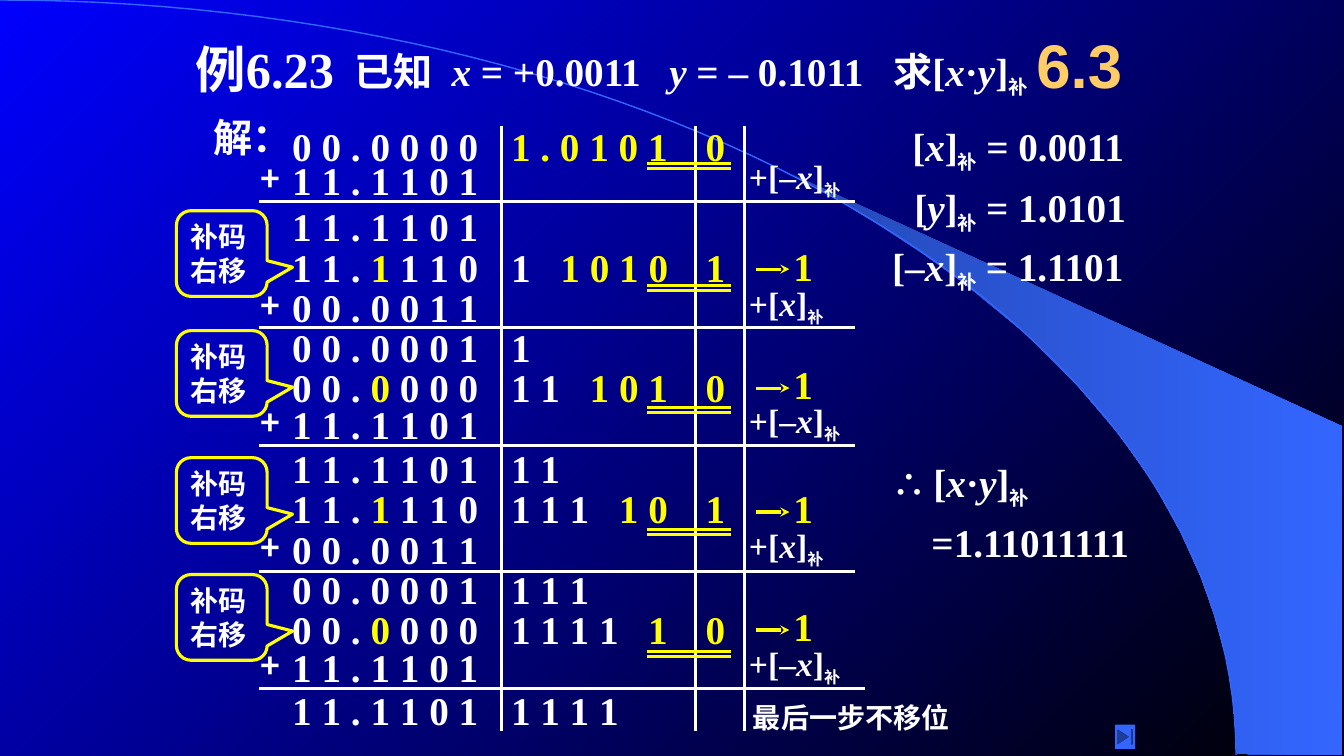
from dataclasses import dataclass
from math import cos, pi, sin

from lxml.etree import SubElement
from pptx import Presentation
from pptx.dml.color import RGBColor
from pptx.enum.shapes import MSO_CONNECTOR, MSO_SHAPE
from pptx.enum.text import MSO_ANCHOR, PP_ALIGN
from pptx.oxml.ns import qn
from pptx.util import Inches, Pt


@dataclass(frozen=True)
class Theme:
    white: RGBColor = RGBColor(255, 255, 255)
    yellow: RGBColor = RGBColor(255, 255, 0)
    gold: RGBColor = RGBColor(255, 204, 102)
    blue: RGBColor = RGBColor(0x33, 0x66, 0xFF)
    dark_blue: RGBColor = RGBColor(0x24, 0x49, 0xB6)
    background_start: RGBColor = RGBColor(0, 0, 255)
    background_end: RGBColor = RGBColor(0, 0, 0)
    serif: str = "Times New Roman"
    sans: str = "Arial"
    chinese: str = "Noto Sans CJK SC"
    section: int = 44
    heading: int = 36
    body: int = 28
    label: int = 24
    note: int = 20
    stroke: float = 2.25


theme = Theme()


def write(paragraph, runs, size=theme.body, color=theme.white, font=theme.serif, tabs=(), indent=0):
    properties = paragraph._p.get_or_add_pPr()
    if indent:
        properties.set("marL", str(Inches(indent)))
    if tabs:
        tab_list = SubElement(properties, qn("a:tabLst"))
        for position in tabs:
            SubElement(tab_list, qn("a:tab"), pos=str(Inches(position)), algn="l")
    paragraph.font.size = Pt(size)
    paragraph.font.bold = True
    paragraph.font.name = font
    paragraph.font.color.rgb = color
    SubElement(properties.find(qn("a:defRPr")), qn("a:ea"), typeface=theme.chinese)
    for text, style in runs:
        run = paragraph.add_run()
        run.text = text
        if style == "italic":
            run.font.italic = True
        elif style == "yellow":
            run.font.color.rgb = theme.yellow
        elif style == "symbol":
            run.font.size = Pt(theme.label)
            run.font.name = theme.chinese
        elif style == "subscript":
            run.font.size = Pt(size - 4)
            run._r.get_or_add_rPr().set("baseline", "-25000")


def add_line(x1, y1, x2, y2, color, arrow=False):
    line = slide.shapes.add_connector(
        MSO_CONNECTOR.STRAIGHT, Inches(x1), Inches(y1), Inches(x2), Inches(y2))
    line.line.color.rgb = color
    line.line.width = Pt(theme.stroke)
    properties = line._element.spPr
    if arrow:
        SubElement(properties.find(qn("a:ln")), qn("a:tailEnd"), type="stealth")
    SubElement(properties, qn("a:effectLst"))


presentation = Presentation()
presentation.slide_width = Inches(13.33)
presentation.slide_height = Inches(7.5)
slide = presentation.slides.add_slide(presentation.slide_layouts[5])

background = slide.background.fill
background.gradient()
background.gradient_angle = 315
background.gradient_stops[0].color.rgb = theme.background_start
background.gradient_stops[1].color.rgb = theme.background_end

beam_points = [
    (12.27, 7.48), (13.31, 7.49), (13.31, 4.23), (7.86, 1.73), (8.32, 1.99), (8.7, 2.22),
    (9.13, 2.5), (9.55, 2.8), (10.16, 3.3), (10.7, 3.84), (11.1, 4.31), (11.44, 4.79),
    (11.71, 5.28), (11.91, 5.72), (12.04, 6.09), (12.17, 6.56), (12.23, 6.96),
]
arc_angles = [pi / 2 * step / 60 for step in range(61)]
arc_points = [(12.26 * sin(angle), 7.49 * (1 - cos(angle))) for angle in arc_angles]
outlines = []
for points, closed in ((beam_points, True), (arc_points, False)):
    corners = [(Inches(x), Inches(y)) for x, y in points]
    builder = slide.shapes.build_freeform(*corners[0])
    builder.add_line_segments(corners[1:], close=closed)
    outline = builder.convert_to_shape()
    outline.shadow.inherit = False
    outlines.append(outline)
beam, arc = outlines
beam.line.fill.background()
beam.fill.gradient()
beam.fill.gradient_angle = 0
beam.fill.gradient_stops[0].color.rgb = theme.dark_blue
beam.fill.gradient_stops[1].color.rgb = theme.blue
arc.fill.background()
arc.line.color.rgb = theme.blue
arc.line.width = Pt(1)

title = slide.shapes.title
title.left, title.top, title.width, title.height = map(Inches, (10.08, 0.17, 1.25, 0.92))
title.text_frame.vertical_anchor = MSO_ANCHOR.MIDDLE
title.text_frame.paragraphs[0].alignment = PP_ALIGN.CENTER
write(title.text_frame.paragraphs[0], [("6.3", "")], theme.section, theme.gold, theme.sans)

x, y, complement = ("x", "italic"), ("y", "italic"), ("补", "subscript")
product = [("[", ""), x, ("·", ""), y, ("]", ""), complement]
negative_x = [("[–", ""), x, ("]", ""), complement]
plain_x = [("[", ""), x, ("]", ""), complement]
plain_y = [("[", ""), y, ("]", ""), complement]

texts = [
    (1.84, 0.33, 1.8, 0.7, [("例6.23", "")], {"size": theme.heading}),
    (3.42, 0.42, 7.92, 0.57,
     [("已知\t", ""), x, (" = +0.0011\t", ""), y, (" = – 0.1011\t求", "")] + product,
     {"tabs": (0.96, 3.12, 5.34)}),
    (2.02, 1.08, 1.1, 0.57, [("解：", "")], {}),
    (2.8, 1.16, 2.15, 0.57, [("0 0 . 0 0 0 0", "")], {}),
    (4.97, 1.16, 2.08, 0.57, [("1 . 0 1 0 1", "")], {"color": theme.yellow}),
    (6.9, 1.16, 0.4, 0.57, [("0", "")], {"color": theme.yellow}),
    (8.95, 1.16, 2.71, 0.57, plain_x + [(" = 0.0011", "")], {}),
    (8.97, 1.77, 2.7, 0.57, plain_y + [(" = 1.0101", "")], {}),
    (8.75, 2.35, 2.92, 0.57, negative_x + [(" = 1.1101", "")], {}),
    (7.33, 6.9, 2.4, 0.43, [("最后一步不移位", "")], {"size": theme.note, "indent": 0.04}),
]

additions = [
    (1.5, 2, "1 1 . 1 1 0 1", negative_x, ""),
    (2.76, 3.25, "0 0 . 0 0 1 1", plain_x, "1"),
    (3.92, 4.42, "1 1 . 1 1 0 1", negative_x, "1 1"),
    (5.16, 5.67, "0 0 . 0 0 1 1", plain_x, "1 1 1"),
    (6.33, 6.83, "1 1 . 1 1 0 1", negative_x, "1 1 1 1"),
]
for index, (top, rule, addend, operand, settled) in enumerate(additions):
    total = "0 0 . 0 0 0 1" if index % 2 else "1 1 . 1 1 0 1"
    sum_top = 1.96 + 1.2 * index
    texts += [
        (2.8, top, 2.15, 0.57, [(addend, "")], {}),
        (2.49, top + 0.02, 0.59, 0.5, [("+", "")], {"size": theme.label, "font": theme.chinese}),
        (7.33, top, 1.42, 0.5, [("+", "")] + operand, {"size": theme.label}),
        (2.8, sum_top, 2.15, 0.57, [(total, "")], {}),
    ]
    if settled:
        texts.append((4.97, sum_top, 2.08, 0.57, [(settled, "")], {}))
    add_line(2.57, rule, 8.58 if index == 4 else 8.48, rule, theme.white)

for column in (4.97, 6.9, 7.38):
    add_line(column, 1.25, column, 7.25, theme.white)

shifts = [
    (2.67, 2.09, "1", "1 0 1 0"),
    (3.85, 3.28, "1 1", "1 0 1"),
    (5.08, 4.54, "1 1 1", "1 0"),
    (6.25, 5.7, "1 1 1 1", "1"),
]
for index, (arrow_y, callout_top, settled, remaining) in enumerate(shifts):
    head, lead, tail, bit = ("0 0 . ", "0", " 0 0 0", "0") if index % 2 else ("1 1 . ", "1", " 1 1 0", "1")
    top = 2.36 + 1.2 * index
    texts += [
        (2.8, top, 2.15, 0.57, [(head, ""), (lead, "yellow"), (tail, "")], {}),
        (4.97, top, 2.08, 0.57, [(settled + "\t", ""), (remaining, "yellow")],
         {"tabs": (0.29 * (index + 1) + 0.2,)}),
        (6.9, top, 0.4, 0.57, [(bit, "")], {"color": theme.yellow}),
        (7.77, arrow_y - 0.32, 0.4, 0.57, [("1", "")], {"color": theme.yellow}),
    ]
    add_line(7.5, arrow_y, 7.83, arrow_y, theme.yellow, arrow=True)
    callout = slide.shapes.add_shape(
        MSO_SHAPE.ROUNDED_RECTANGULAR_CALLOUT,
        Inches(1.75), Inches(callout_top), Inches(0.9), Inches(0.85))
    for position, value in enumerate((0.78, 0.16, 0.17)):
        callout.adjustments[position] = value
    callout.shadow.inherit = False
    callout.fill.background()
    callout.line.color.rgb = theme.yellow
    callout.line.width = Pt(theme.stroke)
    callout.text_frame.word_wrap = True
    callout.text_frame.vertical_anchor = MSO_ANCHOR.TOP
    callout.text_frame.paragraphs[0].alignment = PP_ALIGN.LEFT
    write(callout.text_frame.paragraphs[0], [("补码右移", "")], theme.note)

for left, top, width, height, runs, options in texts:
    box = slide.shapes.add_textbox(Inches(left), Inches(top), Inches(width), Inches(height))
    box.text_frame.word_wrap = True
    write(box.text_frame.paragraphs[0], runs, **options)

for index in range(5):
    for offset in (0, 0.05):
        underline = 1.62 + 1.21 * index + offset
        add_line(6.42, underline, 7.25, underline, theme.yellow)

result = slide.shapes.add_textbox(Inches(8.75), Inches(4.54), Inches(2.83), Inches(1.13)).text_frame
result.word_wrap = True
first, second = result.paragraphs[0], result.add_paragraph()
first.line_spacing = second.line_spacing = 0.85
second.space_before = Pt(14)
write(first, [("∴ ", "symbol")] + product)
write(second, [("=1.11011111", "")], indent=0.39)

button = slide.shapes.add_shape(
    MSO_SHAPE.ACTION_BUTTON_END, Inches(11.06), Inches(7.19), Inches(0.2), Inches(0.24))
button.shadow.inherit = False
button.fill.solid()
button.fill.fore_color.rgb = theme.blue
button.line.fill.background()

presentation.save("out.pptx")
